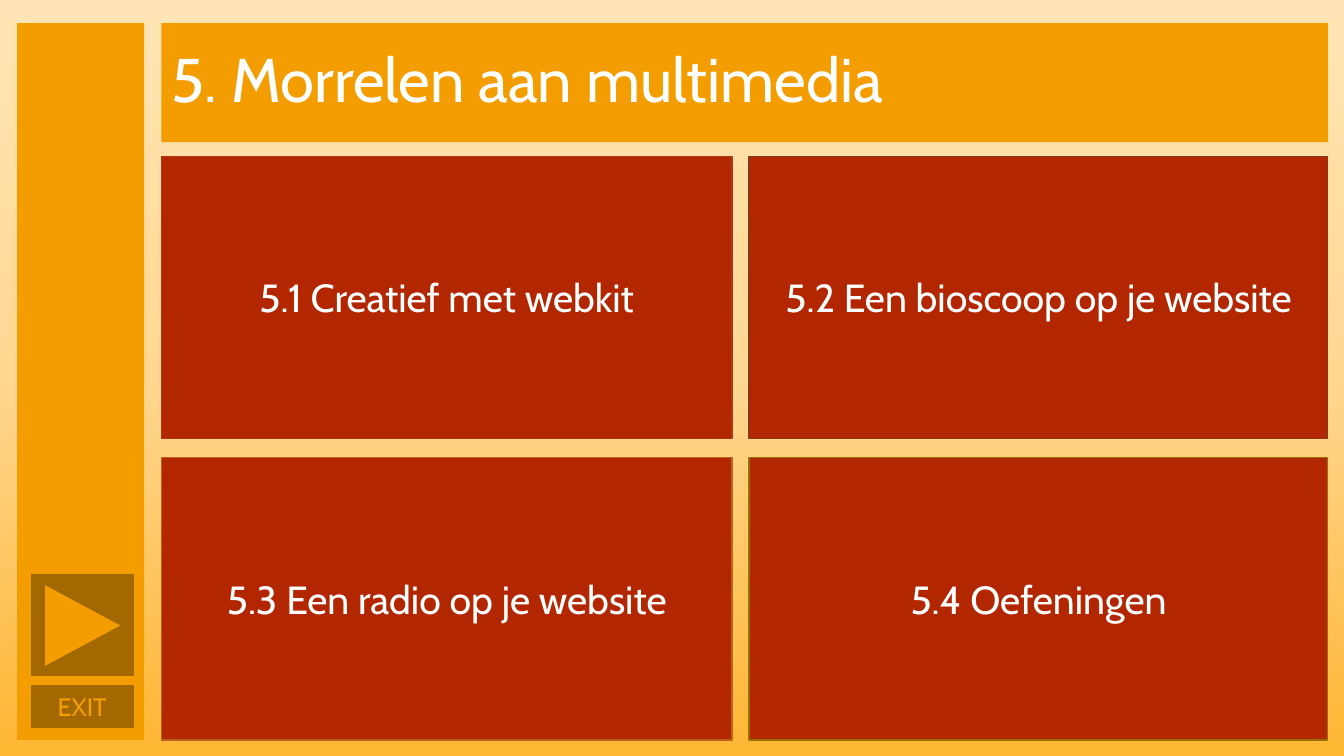
from copy import deepcopy
from dataclasses import dataclass

from pptx import Presentation
from pptx.dml.color import RGBColor
from pptx.enum.shapes import MSO_SHAPE as Shape
from pptx.enum.text import MSO_ANCHOR as Anchor, MSO_AUTO_SIZE as AutoSize, PP_ALIGN as Align
from pptx.oxml.ns import qn
from pptx.util import Inches, Pt


@dataclass(frozen=True)
class Theme:
    font: str = "Cabin"
    white: str = "FFFFFF"
    orange: str = "F49D00"
    brown: str = "A36900"
    red: str = "B22600"
    backdrop: tuple = ((0, "FFE5B5"), (0.5, "FFD791"), (1, "FFB633"))
    title_size: int = 44
    tile_size: int = 28
    button_size: int = 18


# Grid tracks: start and length in inches
COLUMNS = [(0.17, 1.26), (1.6, 5.66), (7.43, 5.74)]
ROWS = [(0.23, 1.18), (1.55, 2.8), (4.54, 2.8)]


def span(tracks, first, last):
    start = tracks[first][0]
    return start, sum(tracks[last]) - start


def cell(columns, rows):
    """Area covering the given (first, last) columns and rows."""
    left, width = span(COLUMNS, *columns)
    top, height = span(ROWS, *rows)
    return left, top, width, height


def share(area, x, y, width, height):
    """Part of an area, given in percent of its size."""
    left, top, full_width, full_height = area
    return (left + full_width * x / 100, top + full_height * y / 100,
            full_width * width / 100, full_height * height / 100)


class Board:
    def __init__(self, page, theme):
        self.page = page
        self.theme = theme

    def background(self):
        fill = self.page.background.fill
        fill.gradient()
        fill.gradient_angle = 270
        stops = self.page.element.find(".//" + qn("a:gsLst"))
        stops.insert(1, deepcopy(stops[0]))
        for stop, (position, color) in zip(fill.gradient_stops, self.theme.backdrop):
            stop.position = position
            stop.color.rgb = RGBColor.from_string(color)

    def paint(self, box, color, line=None):
        box.fill.solid()
        box.fill.fore_color.rgb = RGBColor.from_string(color)
        if line:
            box.line.color.rgb = RGBColor.from_string(line)
            box.line.width = Pt(1)
        else:
            box.line.fill.background()

    def label(self, box, text, size, color, align=Align.CENTER):
        frame = box.text_frame
        frame.word_wrap = True
        frame.auto_size = AutoSize.NONE
        frame.vertical_anchor = Anchor.MIDDLE
        para = frame.paragraphs[0]
        para.alignment = align
        run = para.add_run()
        run.text = text
        run.font.name = self.theme.font
        run.font.size = Pt(size)
        run.font.color.rgb = RGBColor.from_string(color)
        return para

    def title(self, area, text):
        box = self.page.shapes.title
        box.left, box.top, box.width, box.height = map(Inches, area)
        self.paint(box, self.theme.orange)
        para = self.label(box, text, self.theme.title_size, self.theme.white, Align.LEFT)
        para.line_spacing = 0.9

    def panel(self, area, color, line=None, kind=Shape.RECTANGLE):
        box = self.page.shapes.add_shape(kind, *map(Inches, area))
        box.shadow.inherit = False
        self.paint(box, color, line)
        return box

    def tile(self, area, text, line):
        box = self.panel(area, self.theme.red, line)
        self.label(box, text, self.theme.tile_size, self.theme.white)

    def button(self, area, text=None):
        box = self.panel(area, self.theme.brown, self.theme.brown)
        if text:
            self.label(box, text, self.theme.button_size, self.theme.orange)


def main():
    theme = Theme()
    deck = Presentation()
    deck.slide_width, deck.slide_height = Inches(13.33), Inches(7.5)
    board = Board(deck.slides.add_slide(deck.slide_layouts[5]), theme)

    # Backdrop and title bar
    board.background()
    board.title(cell((1, 2), (0, 0)), "5. Morrelen aan multimedia")

    # Sidebar with exit and play buttons
    sidebar = cell((0, 0), (0, 2))
    board.panel(sidebar, theme.orange)
    board.button(share(sidebar, 11.1, 92.4, 80.2, 5.8), "EXIT")
    board.button(share(sidebar, 11.1, 76.9, 80.2, 14.1))
    arrow = board.panel(share(sidebar, 19.8, 78.8, 63.5, 10.5), theme.orange,
                        kind=Shape.ISOSCELES_TRIANGLE)
    arrow.rotation = 90

    # Chapter tiles, two by two
    chapters = [
        ("5.1 Creatief met webkit", "AC3819"),
        ("5.2 Een bioscoop op je website", "87361C"),
        ("5.3 Een radio op je website", "BD621D"),
        ("5.4 Oefeningen", "977100"),
    ]
    for index, (text, line) in enumerate(chapters):
        row, column = divmod(index, 2)
        board.tile(cell((column + 1, column + 1), (row + 1, row + 1)), text, line)

    deck.save("out.pptx")


if __name__ == "__main__":
    main()
